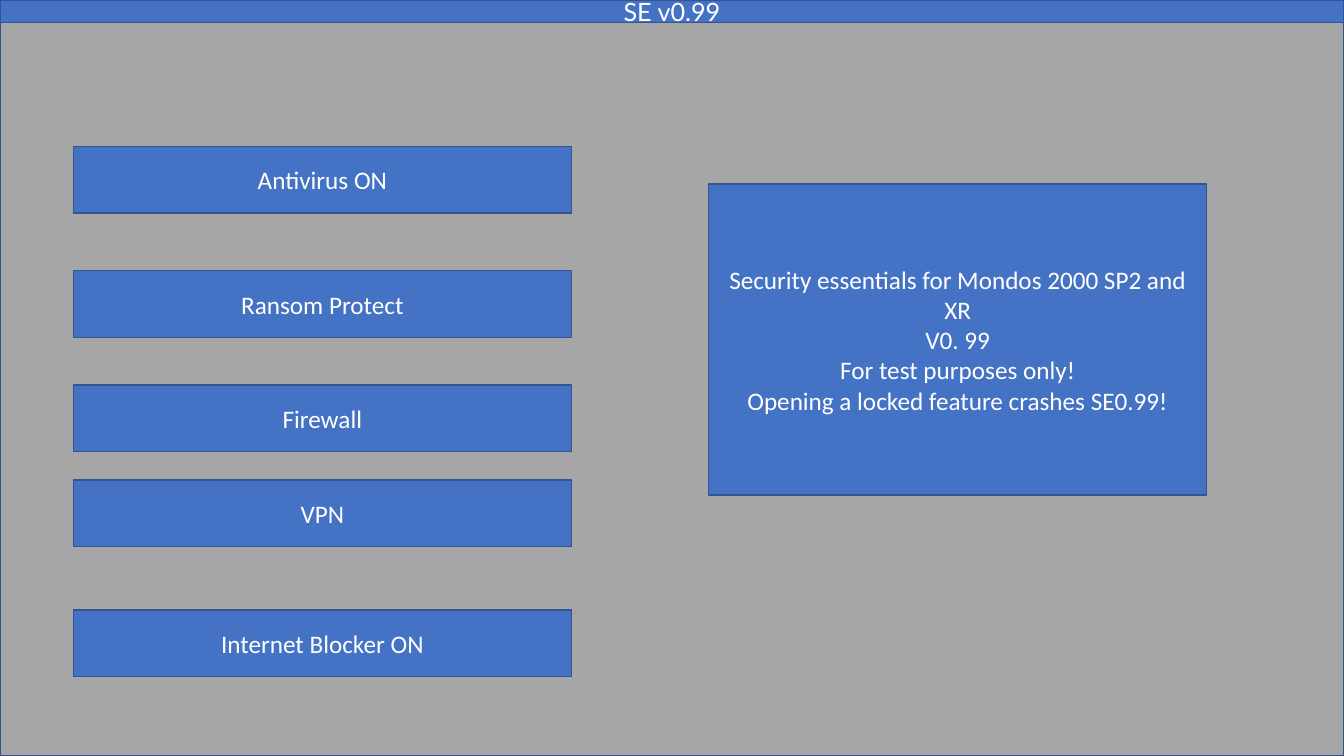
from pptx import Presentation
from pptx.dml.color import RGBColor
from pptx.enum.shapes import MSO_SHAPE as Shape
from pptx.enum.text import MSO_ANCHOR as Anchor, MSO_AUTO_SIZE as Fit, PP_ALIGN as Align
from pptx.util import Cm, Pt

# Content
TITLE = "SE v0.99"
BUTTONS = [  # label, top in cm
    ("Antivirus ON", 3.69),
    ("Ransom Protect", 6.82),
    ("Firewall", 9.7),
    ("VPN", 12.1),
    ("Internet Blocker ON", 15.37),
]
ABOUT = [
    "Security essentials for Mondos 2000 SP2 and XR",
    "V0. 99",
    "For test purposes only!",
    "Opening a locked feature crashes SE0.99!",
]

# Colours and sizes in cm
BLUE = RGBColor(0x44, 0x72, 0xC4)
EDGE = RGBColor(0x32, 0x54, 0x91)
GREY = RGBColor(0xA6, 0xA6, 0xA6)
WHITE = RGBColor(0xFF, 0xFF, 0xFF)
WIDE, HIGH, BAR = 33.87, 19.05, 0.57
BOX_W, BOX_H = 12.55, 1.68


def style(shape, fill, lines=(), font="Calibri"):
    shape.fill.solid()
    shape.fill.fore_color.rgb = fill
    shape.line.color.rgb = EDGE
    shape.line.width = Pt(1)
    frame = shape.text_frame
    frame.text = "\n".join(lines)
    frame.word_wrap = True
    frame.auto_size = Fit.NONE
    frame.vertical_anchor = Anchor.MIDDLE
    for para in frame.paragraphs:
        para.alignment = Align.CENTER
        for run in para.runs:
            run.font.name = font
            run.font.size = Pt(18)
            run.font.color.rgb = WHITE


def add_box(slide, left, top, width, height, fill, lines=()):
    box = slide.shapes.add_shape(
        Shape.RECTANGLE, Cm(left), Cm(top), Cm(width), Cm(height))
    box.shadow.inherit = False
    style(box, fill, lines)


def main():
    deck = Presentation()
    deck.slide_width, deck.slide_height = Cm(WIDE), Cm(HIGH)
    slide = deck.slides.add_slide(deck.slide_layouts[5])

    # Title bar
    title = slide.shapes.title
    title.left, title.top = Cm(0), Cm(0)
    title.width, title.height = Cm(WIDE), Cm(BAR)
    style(title, BLUE, [TITLE], "Lato")

    # Window body
    add_box(slide, 0, BAR, WIDE, HIGH - BAR, GREY)

    # Feature buttons
    for label, top in BUTTONS:
        add_box(slide, 1.85, top, BOX_W, BOX_H, BLUE, [label])

    # About panel
    add_box(slide, 17.86, 4.64, BOX_W, 7.84, BLUE, ABOUT)

    deck.save("out.pptx")


if __name__ == "__main__":
    main()
